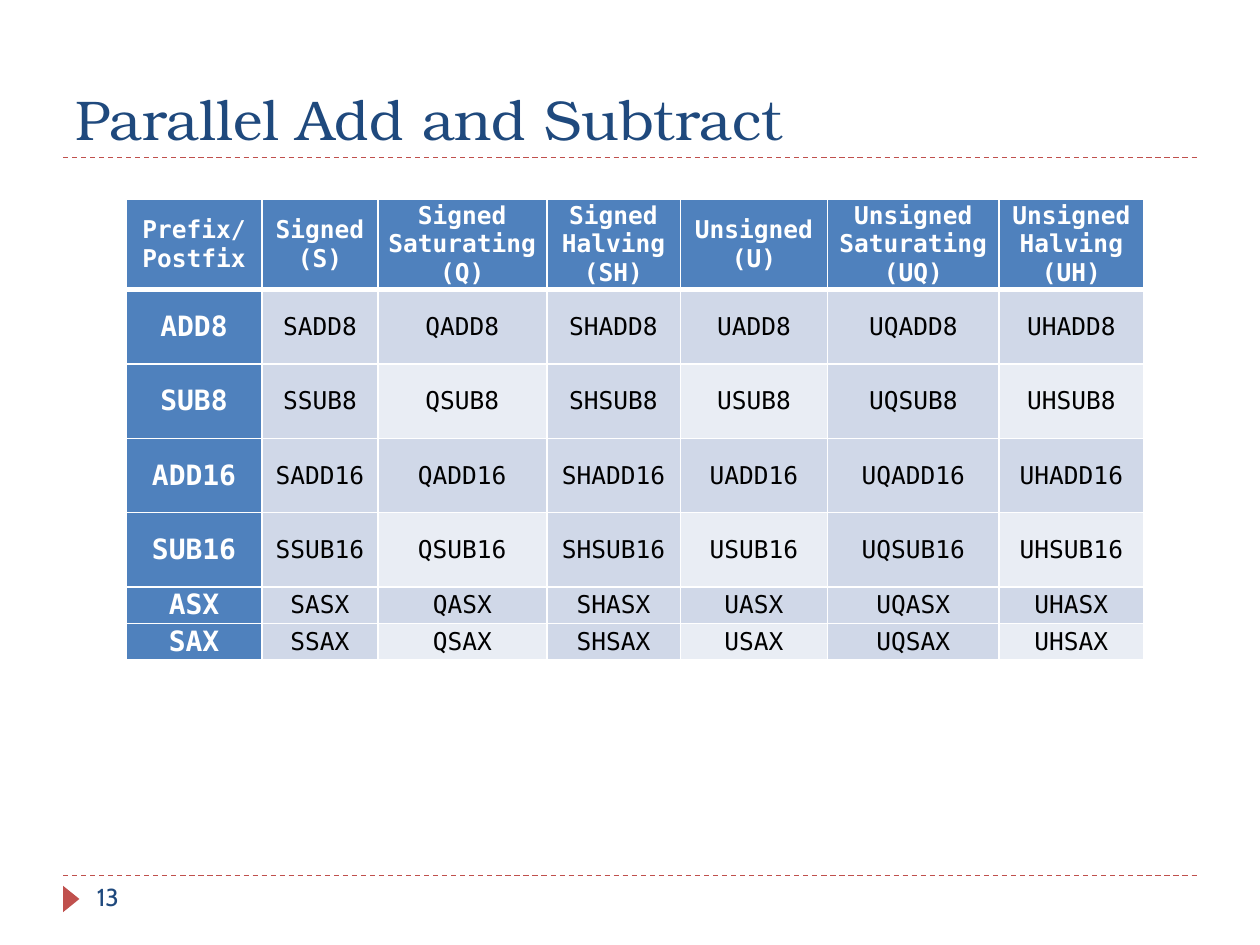
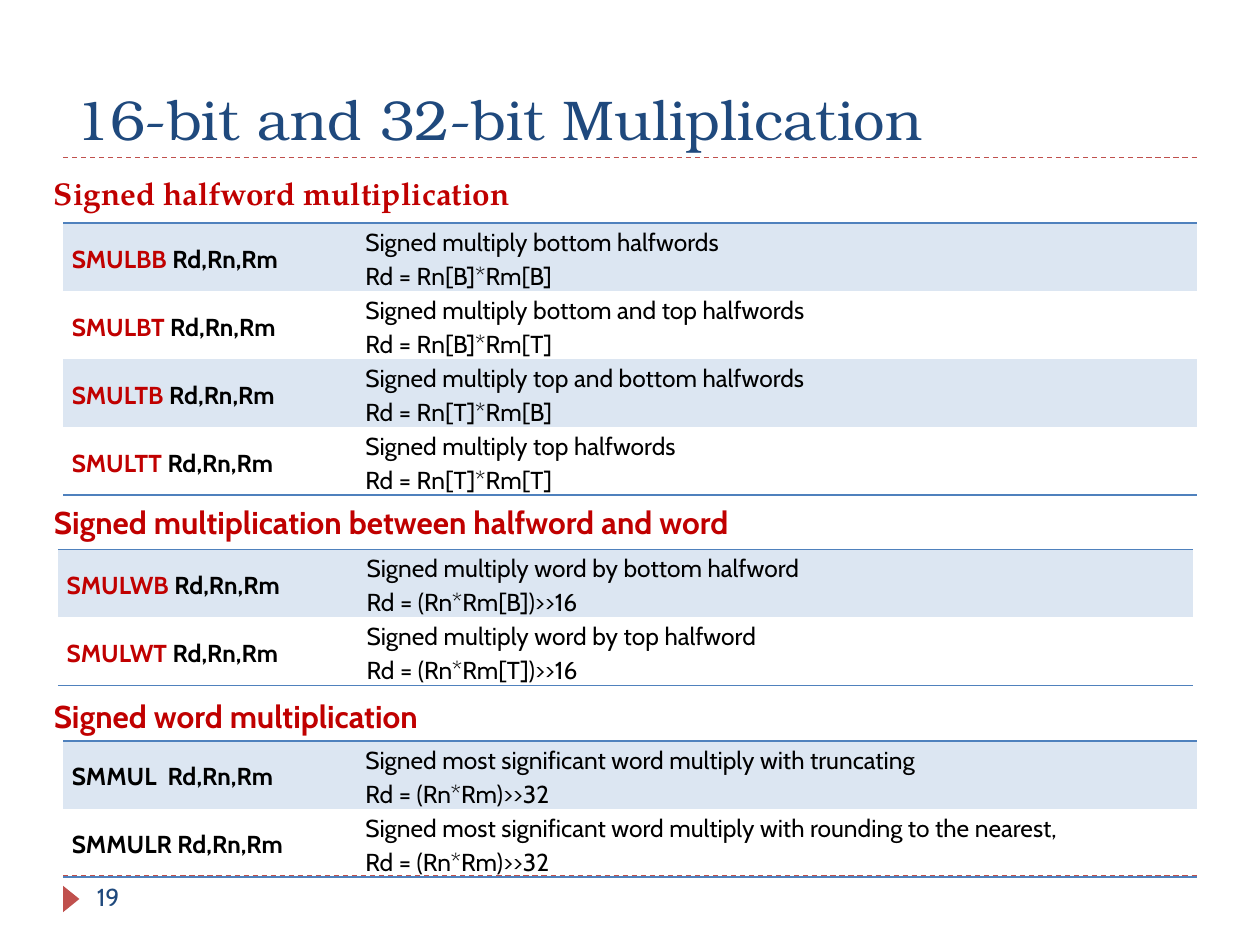
from pptx import Presentation
from pptx.dml.color import RGBColor
from pptx.enum.dml import MSO_LINE
from pptx.enum.shapes import MSO_CONNECTOR, MSO_SHAPE
from pptx.enum.text import MSO_ANCHOR, PP_ALIGN
from pptx.oxml.ns import qn
from pptx.util import Inches, Pt
from lxml import etree

DASH = MSO_LINE.DASH
STRAIGHT = MSO_CONNECTOR.STRAIGHT
TRIANGLE = MSO_SHAPE.ISOSCELES_TRIANGLE
TOP, MIDDLE, BOTTOM = MSO_ANCHOR.TOP, MSO_ANCHOR.MIDDLE, MSO_ANCHOR.BOTTOM
LEFT, CENTER, JUSTIFY = PP_ALIGN.LEFT, PP_ALIGN.CENTER, PP_ALIGN.JUSTIFY

COLORS = {
    "title": "1F497D", "accent": "C0504D", "red": "C00000",
    "blue": "4F81BD", "band": "D0D8E8", "light": "E9EDF4",
    "pale": "DCE6F2", "black": "000000", "white": "FFFFFF",
}
TITLE_FONT, BODY_FONT = "TeX Gyre Bonum", "Cabin"
CODE_FONT, SERIF_FONT = "DejaVu Sans Mono", "TeX Gyre Pagella"
NO_STYLE = "{2D5ABB26-0587-4C30-8999-92F81FD0307C}"

# Prefix of each column and the lines of its heading
VARIANTS = [
    ("S", ["Signed (S)"]),
    ("Q", ["Signed Saturating", "(Q)"]),
    ("SH", ["Signed Halving", "(SH)"]),
    ("U", ["Unsigned", "(U)"]),
    ("UQ", ["Unsigned Saturating", "(UQ)"]),
    ("UH", ["Unsigned Halving", "(UH)"]),
]
OPERATIONS = ["ADD8", "SUB8", "ADD16", "SUB16", "ASX", "SAX"]

HALFWORD = [
    ("SMULBB ", "Signed multiply bottom halfwords", "Rd = Rn[B]*Rm[B]"),
    ("SMULBT ", "Signed multiply bottom and top halfwords", "Rd = Rn[B]*Rm[T]"),
    ("SMULTB ", "Signed multiply top and bottom halfwords", "Rd = Rn[T]*Rm[B]"),
    ("SMULTT ", "Signed multiply top halfwords", "Rd = Rn[T]*Rm[T]"),
]
HALFWORD_BY_WORD = [
    ("SMULWB ", "Signed multiply word by bottom halfword", "Rd = (Rn*Rm[B])>>16"),
    ("SMULWT ", "Signed multiply word by top halfword", "Rd = (Rn*Rm[T])>>16"),
]
WORD = [
    ("SMMUL  ", "Signed most significant word multiply with truncating",
     "Rd = (Rn*Rm)>>32"),
    ("SMMULR ", "Signed most significant word multiply with rounding to the nearest,",
     "Rd = (Rn*Rm)>>32"),
]


def rgb(name):
    return RGBColor.from_string(COLORS[name])


def style_font(font, size, name, color, bold=False):
    font.size, font.name, font.bold = Pt(size), name, bold
    font.color.rgb = rgb(color)


def add_text(s, box, text, size, name, color, bold=False, anchor=TOP):
    tf = s.shapes.add_textbox(*map(Inches, box)).text_frame
    tf.word_wrap, tf.vertical_anchor = True, anchor
    p = tf.paragraphs[0]
    p.text = text
    style_font(p.font, size, name, color, bold)


def add_dashed_rule(s, y):
    line = s.shapes.add_connector(STRAIGHT, Inches(0.5), Inches(y), Inches(9.5), Inches(y))
    line.line.color.rgb = rgb("accent")
    line.line.width = Pt(0.75)
    line.line.dash_style = DASH
    etree.SubElement(line._element.spPr, qn("a:effectLst"))


def add_base_slide(prs, title, number):
    s = prs.slides.add_slide(prs.slide_layouts[6])
    for y in (6.95, 1.25):
        add_dashed_rule(s, y)
    marker = s.shapes.add_shape(TRIANGLE, *map(Inches, (0.46, 7.07, 0.21, 0.13)))
    marker.rotation = 90
    marker.shadow.inherit = False
    marker.fill.solid()
    marker.fill.fore_color.rgb = rgb("accent")
    marker.line.fill.background()
    add_text(s, (0.5, 0.17, 9, 1.08), title, 32, TITLE_FONT, "title", anchor=BOTTOM)
    add_text(s, (0.67, 6.95, 2.17, 0.4), str(number), 14, BODY_FONT, "title")
    return s


def add_plain_table(s, left, top, widths, heights):
    frame = s.shapes.add_table(len(heights), len(widths), Inches(left), Inches(top),
                               Inches(sum(widths)), Inches(sum(heights)))
    table = frame.table
    table.first_row = table.horz_banding = False
    table._tbl.tblPr.find(qn("a:tableStyleId")).text = NO_STYLE
    for column, width in zip(table.columns, widths):
        column.width = Inches(width)
    for row, height in zip(table.rows, heights):
        row.height = Inches(height)
    return table


def format_cell(cell, fill, borders):
    """Borders map a side (L, R, T, B) to a colour name and a width in points."""
    cell.vertical_anchor = MIDDLE
    cell.margin_left = cell.margin_right = Inches(0.07)
    cell.margin_top = cell.margin_bottom = 0
    tc_pr = cell._tc.get_or_add_tcPr()
    for side in "LRTB":
        if side in borders:
            color, width = borders[side]
            ln = etree.SubElement(tc_pr, qn("a:ln" + side), w=str(Pt(width)))
            solid = etree.SubElement(ln, qn("a:solidFill"))
            etree.SubElement(solid, qn("a:srgbClr"), val=COLORS[color])
    if fill:
        cell.fill.solid()
        cell.fill.fore_color.rgb = rgb(fill)
    else:
        cell.fill.background()


def write_cell(cell, lines, size, name, color, bold, align, spacing=None):
    """Each line is a list of (text, colour) runs or a plain string."""
    tf = cell.text_frame
    for i, line in enumerate(lines):
        p = tf.add_paragraph() if i else tf.paragraphs[0]
        p.alignment = align
        if spacing:
            p.line_spacing = spacing
        if isinstance(line, str):
            p.text = line
            style_font(p.font, size, name, color, bold)
        else:
            for text, run_color in line:
                r = p.add_run()
                r.text = text
                style_font(r.font, size, name, run_color, bold)


def add_variant_table(s):
    table = add_plain_table(s, 1, 1.58, [1.08, 0.92, 1.34, 1.06, 1.17, 1.36, 1.15],
                            [0.72] + [0.59] * 4 + [0.29] * 2)
    rows = [[["Prefix/", "Postfix"]] + [heading for _, heading in VARIANTS]]
    rows += [[[op]] + [[prefix + op] for prefix, _ in VARIANTS] for op in OPERATIONS]
    for i, row in enumerate(rows):
        for j, lines in enumerate(row):
            cell = table.cell(i, j)
            is_head = i == 0 or j == 0
            if is_head:
                fill = "blue"
            else:
                fill = "band" if i % 2 or j % 2 else "light"
            borders = {side: ("white", 1) for side in "LRTB"}
            if i < 2:
                borders["B" if i == 0 else "T"] = ("white", 3)
            format_cell(cell, fill, borders)
            write_cell(cell, lines, 16 if i and j == 0 else 14, CODE_FONT,
                       "white" if is_head else "black", is_head, CENTER)


def add_instruction_table(s, left, top, widths, instructions, name_color="red"):
    table = add_plain_table(s, left, top, widths, [0.54] * len(instructions))
    last = len(instructions) - 1
    for i, (mnemonic, meaning, formula) in enumerate(instructions):
        borders = {}
        if i == 0:
            borders["T"] = ("blue", 1)
        if i == last:
            borders["B"] = ("blue", 1)
        syntax = [[(mnemonic, name_color), ("Rd,Rn,Rm", "black")]]
        for j, lines in enumerate((syntax, [meaning, formula])):
            cell = table.cell(i, j)
            format_cell(cell, None if i % 2 else "pale", borders)
            write_cell(cell, lines, 14, BODY_FONT, "black", j == 0, JUSTIFY, 1.15)


def add_section_heading(s, top, width, text, name=BODY_FONT):
    add_text(s, (0.33, top, width, 0.4), text, 18, name, "red", True)


def main():
    prs = Presentation()
    prs.slide_width, prs.slide_height = Inches(10), Inches(7.5)

    s = add_base_slide(prs, "Parallel Add and Subtract", 13)
    add_variant_table(s)

    s = add_base_slide(prs, "16-bit and 32-bit Muliplication", 19)
    add_section_heading(s, 1.33, 3.95, "Signed halfword multiplication", SERIF_FONT)
    add_instruction_table(s, 0.5, 1.77, [2.33, 6.67], HALFWORD)
    add_section_heading(s, 3.94, 7.25, "Signed multiplication between halfword and word")
    add_instruction_table(s, 0.46, 4.36, [2.38, 6.63], HALFWORD_BY_WORD)
    add_section_heading(s, 5.48, 3.37, "Signed word multiplication")
    add_instruction_table(s, 0.5, 5.88, [2.33, 6.67], WORD, "black")

    prs.save("out.pptx")


if __name__ == "__main__":
    main()
